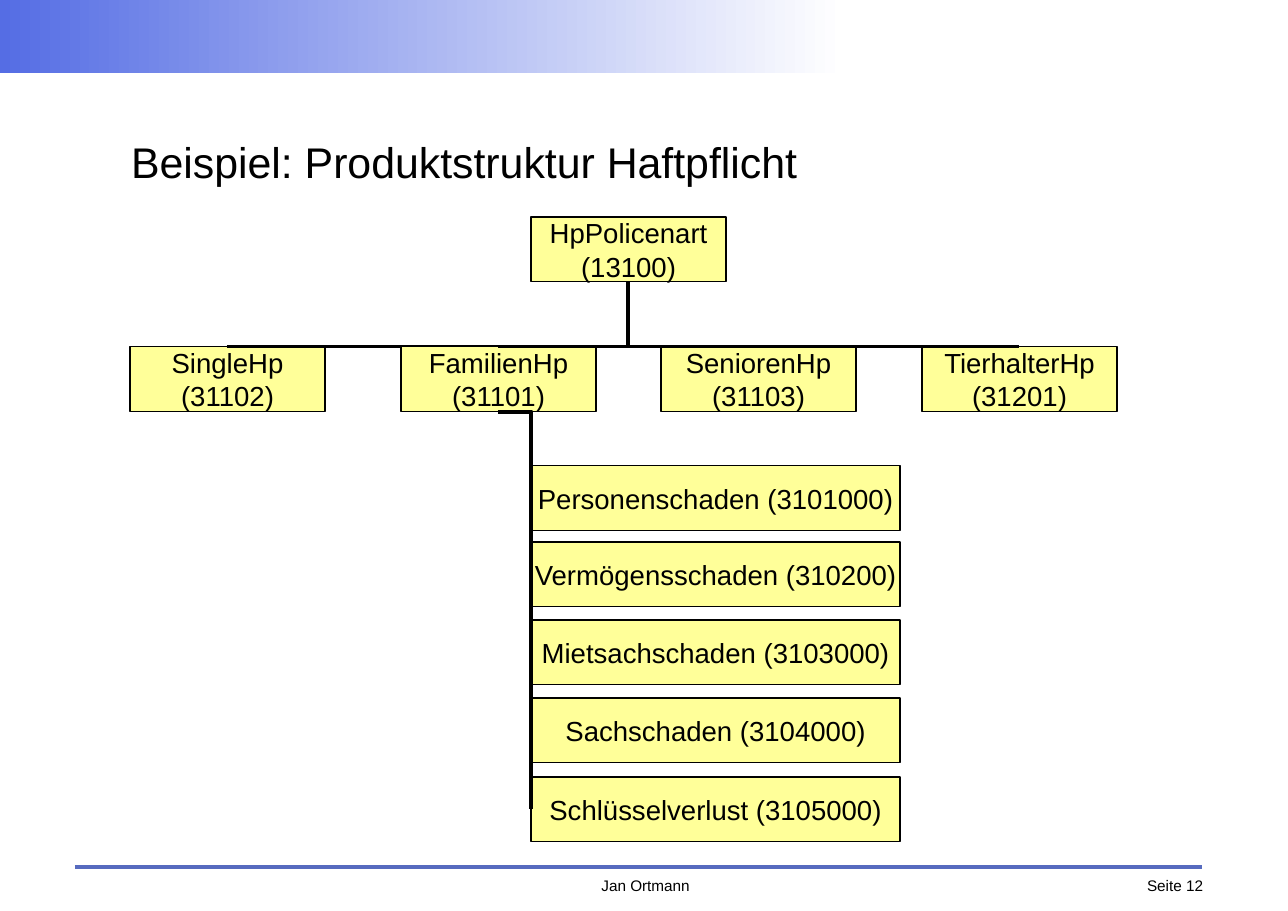
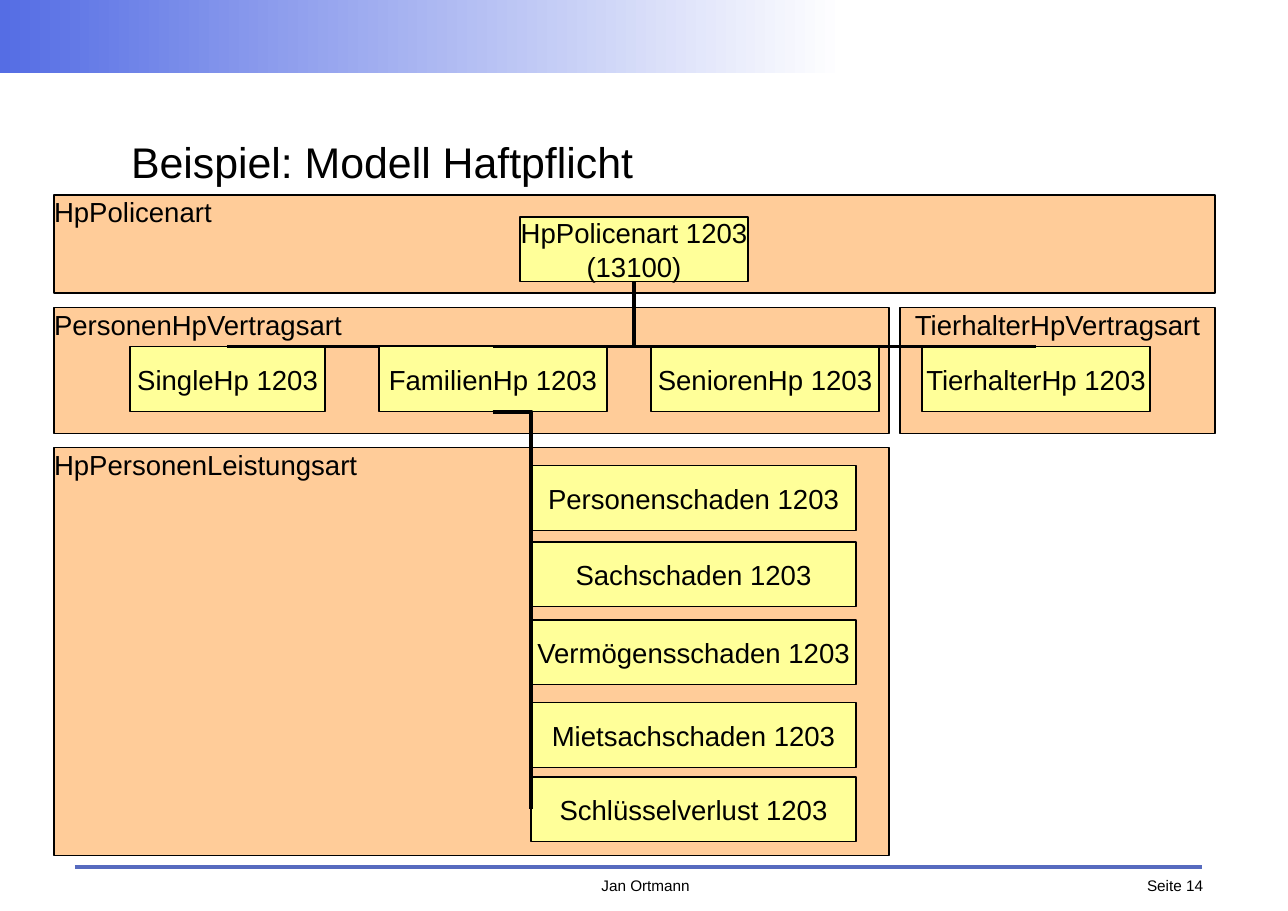
from lxml import etree
from pptx import Presentation
from pptx.dml.color import RGBColor
from pptx.enum.shapes import MSO_CONNECTOR, MSO_SHAPE
from pptx.enum.text import MSO_ANCHOR, PP_ALIGN
from pptx.oxml.ns import qn
from pptx.util import Pt

PX = 8298
FONT = "Arial"
BLACK = RGBColor(0x00, 0x00, 0x00)
WHITE = RGBColor(0xFF, 0xFF, 0xFF)
BAND_BLUE = RGBColor(0x55, 0x6D, 0xE4)
RULE_BLUE = RGBColor(0x57, 0x6B, 0xBF)
YELLOW = RGBColor(0xFF, 0xFF, 0x99)
ORANGE = RGBColor(0xFF, 0xCC, 0x99)
RECT = MSO_SHAPE.RECTANGLE
STRAIGHT, ELBOW = MSO_CONNECTOR.STRAIGHT, MSO_CONNECTOR.ELBOW
LEFT, CENTER, RIGHT = PP_ALIGN.LEFT, PP_ALIGN.CENTER, PP_ALIGN.RIGHT
TOP, MIDDLE = MSO_ANCHOR.TOP, MSO_ANCHOR.MIDDLE

BOX_H = 65
ROOT_Y = 217
CHILD_Y = 347
LEAF_X = 531


def emu(*lengths):
    """Turn px lengths into EMU."""
    return [n * PX for n in lengths]


def write(tf, text, size, align, anchor=TOP, wrap=False):
    """Fill a text frame, one paragraph per line of text."""
    tf.margin_left = tf.margin_right = tf.margin_top = tf.margin_bottom = 0
    tf.word_wrap = wrap
    tf.vertical_anchor = anchor
    tf.text = text
    for p in tf.paragraphs:
        p.alignment = align
        p.font.name = FONT
        p.font.size = Pt(size)
        p.font.color.rgb = BLACK


def add_box(s, x, y, w, h, text, fill=YELLOW, align=CENTER, anchor=MIDDLE):
    """Add a filled, thinly outlined rectangle with text."""
    sp = s.shapes.add_shape(RECT, *emu(x, y, w, h))
    sp.shadow.inherit = False
    sp.fill.solid()
    sp.fill.fore_color.rgb = fill
    sp.line.color.rgb = BLACK
    sp.line.width = 0
    write(sp.text_frame, text, 18, align, anchor)
    return sp


def add_line(s, kind, start, end, color=BLACK, width=0):
    """Add a connector; an elbow runs sideways first, then up or down."""
    cxn = s.shapes.add_connector(kind, *emu(*start, *end))
    cxn.line.color.rgb = color
    cxn.line.width = Pt(width)
    pr = cxn._element.spPr
    if kind == ELBOW:
        pr.find(qn("a:prstGeom")).set("prst", "bentConnector2")
    etree.SubElement(pr, qn("a:effectLst"))


def add_footer(s, x, w, text, align):
    """Add a small line of footer text."""
    tb = s.shapes.add_textbox(*emu(x, 876, w, 21))
    write(tb.text_frame, text, 10, align)


def add_slide(prs, title, number):
    """Add a slide with title, gradient band, rule and footer."""
    s = prs.slides.add_slide(prs.slide_layouts[5])
    band = s.shapes.add_shape(RECT, *emu(0, 0, 845, 73))
    band.shadow.inherit = False
    band.line.fill.background()
    band.fill.gradient()
    band.fill.gradient_angle = 0
    for stop, color in zip(band.fill.gradient_stops, (BAND_BLUE, WHITE)):
        stop.color.rgb = color
    add_line(s, STRAIGHT, (75, 867), (1202, 867), RULE_BLUE, 2.83)
    add_footer(s, 557, 177, "Jan Ortmann", CENTER)
    add_footer(s, 1088, 115, f"Seite {number}", RIGHT)
    ph = s.shapes.title
    ph.left, ph.top, ph.width, ph.height = emu(131, 105, 1026, 112)
    write(ph.text_frame, title, 28, LEFT, MIDDLE, True)
    return s


def add_tree(s, root, children, leaves, leaf_w, leaf_tops):
    """Draw a root, its children, and the leaves under the second child."""
    x, w, text = root
    add_box(s, x, ROOT_Y, w, BOX_H, text)
    stem = (x + w // 2, ROOT_Y + BOX_H)
    centers = []
    for x, w, text in children:
        add_box(s, x, CHILD_Y, w, BOX_H, text)
        centers.append(x + w // 2)
        add_line(s, ELBOW, (centers[-1], CHILD_Y), stem)
    for y, text in zip(leaf_tops, leaves):
        add_box(s, LEAF_X, y, leaf_w, BOX_H, text)
        add_line(s, ELBOW, (centers[1], CHILD_Y + BOX_H),
                 (LEAF_X, y + BOX_H // 2))


def add_structure_slide(prs):
    """Build the product structure slide."""
    s = add_slide(prs, "Beispiel: Produktstruktur Haftpflicht", 12)
    children = [(130, 195, "SingleHp\n(31102)"),
                (401, 195, "FamilienHp\n(31101)"),
                (661, 195, "SeniorenHp\n(31103)"),
                (922, 195, "TierhalterHp\n(31201)")]
    leaves = ["Personenschaden (3101000)", "Vermögensschaden (310200)",
              "Mietsachschaden (3103000)", "Sachschaden (3104000)",
              "Schlüsselverlust (3105000)"]
    add_tree(s, (531, 195, "HpPolicenart\n(13100)"), children, leaves,
             369, (466, 542, 620, 698, 777))


def add_model_slide(prs):
    """Build the model slide with its type areas."""
    s = add_slide(prs, "Beispiel: Modell Haftpflicht", 14)
    areas = [(54, 448, 835, 408, "HpPersonenLeistungsart", LEFT),
             (900, 308, 315, 126, "TierhalterHpVertragsart", CENTER),
             (54, 308, 835, 126, "PersonenHpVertragsart", LEFT),
             (54, 195, 1161, 98, "HpPolicenart", LEFT)]
    for x, y, w, h, text, align in areas:
        add_box(s, x, y, w, h, text, ORANGE, align, TOP)
    children = [(130, 195, "SingleHp 1203"), (379, 228, "FamilienHp 1203"),
                (651, 228, "SeniorenHp 1203"), (922, 228, "TierhalterHp 1203")]
    leaves = [f"{name} 1203" for name in
              ("Personenschaden", "Sachschaden", "Vermögensschaden",
               "Mietsachschaden", "Schlüsselverlust")]
    add_tree(s, (520, 228, "HpPolicenart 1203\n(13100)"), children, leaves,
             325, (466, 542, 620, 703, 777))


def main():
    """Build and save the presentation."""
    prs = Presentation()
    prs.slide_width, prs.slide_height = emu(1288, 911)
    add_structure_slide(prs)
    add_model_slide(prs)
    prs.save("out.pptx")


if __name__ == "__main__":
    main()
